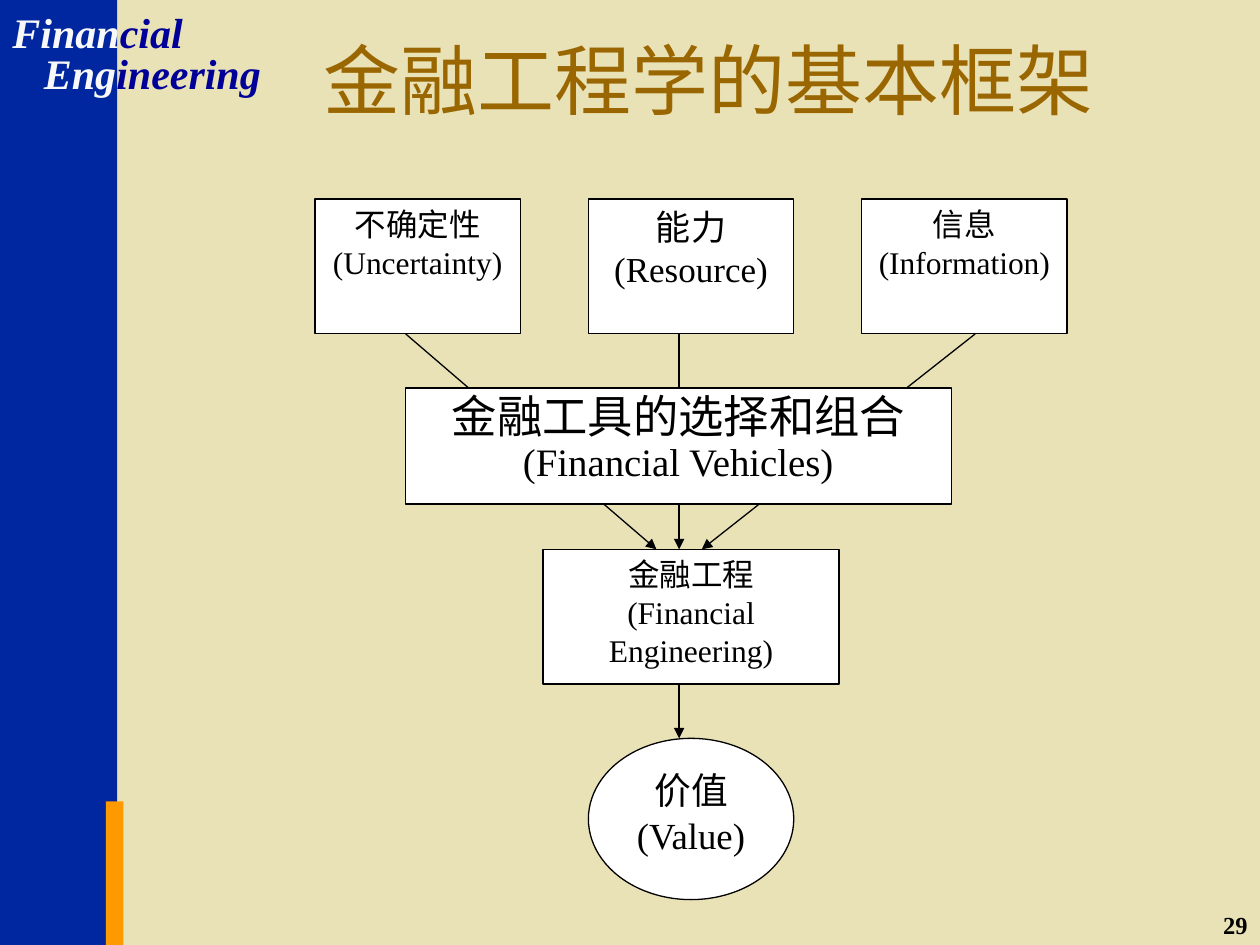
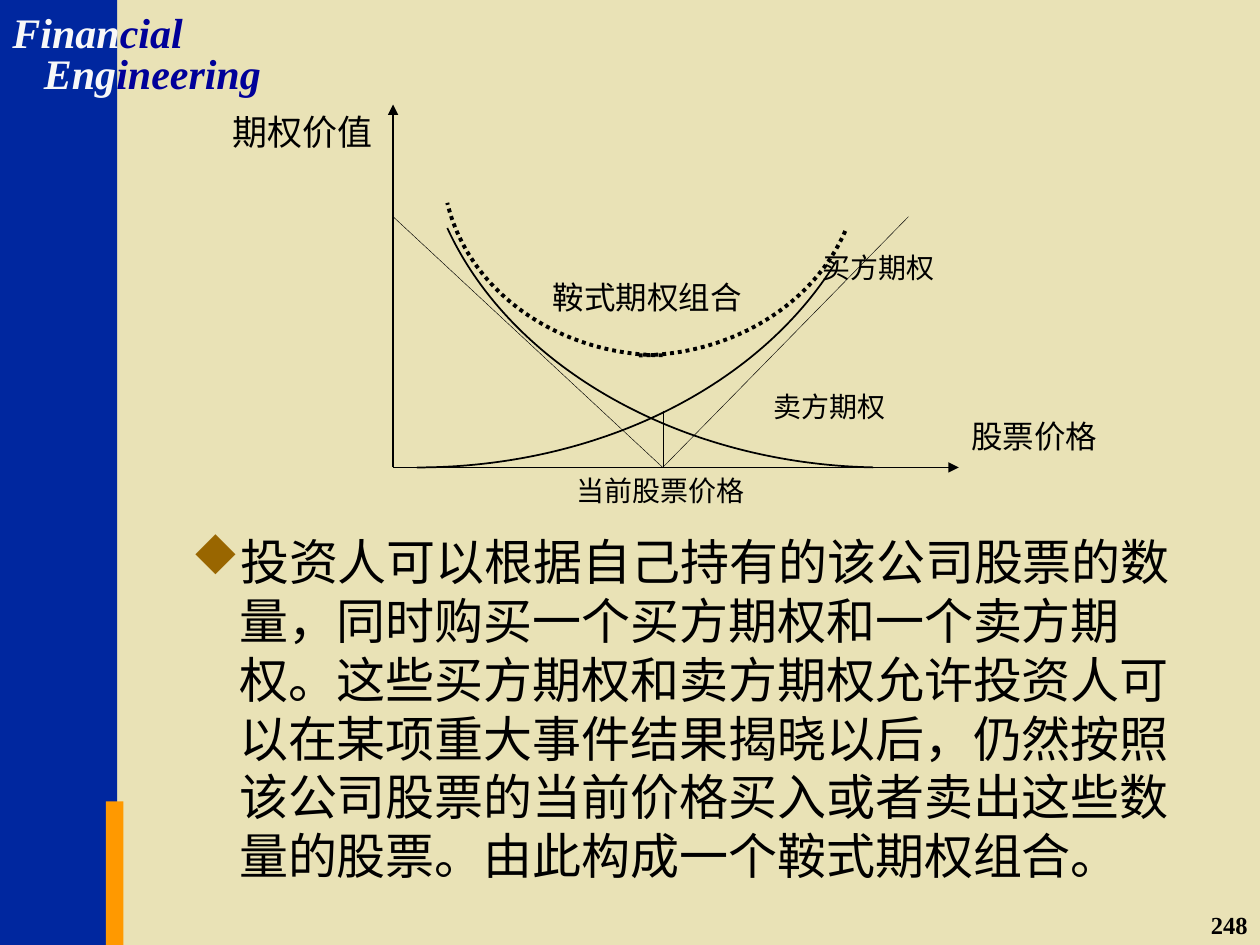
from lxml import etree
from pptx import Presentation
from pptx.dml.color import RGBColor
from pptx.enum.dml import MSO_LINE
from pptx.enum.shapes import MSO_CONNECTOR, MSO_SHAPE
from pptx.enum.text import MSO_ANCHOR, PP_ALIGN
from pptx.oxml.ns import qn
from pptx.util import Inches, Pt

RECT = MSO_SHAPE.RECTANGLE
OVAL = MSO_SHAPE.OVAL
STRAIGHT = MSO_CONNECTOR.STRAIGHT
DOTS = MSO_LINE.ROUND_DOT
LEFT, CENTER, RIGHT, JUSTIFY = (
    PP_ALIGN.LEFT, PP_ALIGN.CENTER, PP_ALIGN.RIGHT, PP_ALIGN.JUSTIFY)
TOP, MIDDLE = MSO_ANCHOR.TOP, MSO_ANCHOR.MIDDLE

FONT = "Times New Roman"
SAND, BLUE, ORANGE, NAVY = "E9E2B6", "00279F", "FF9900", "000099"
BROWN, BLACK, WHITE, PALE = "996600", "000000", "FFFFFF", "F8F8F8"


def color(value):
    return RGBColor.from_string(value)


def lengths(*values):
    return [Inches(value) for value in values]


def style(para, size, tint=BLACK, align=LEFT, bold=None):
    para.alignment = align
    font = para.font
    font.name, font.size, font.bold = FONT, Pt(size), bold
    font.color.rgb = color(tint)


def add_text(slide, box, text, size, tint=BLACK, align=JUSTIFY, bold=None):
    frame = slide.shapes.add_textbox(*lengths(*box)).text_frame
    frame.word_wrap = True
    para = frame.paragraphs[0]
    para.text = text
    style(para, size, tint, align, bold)
    return frame


def add_block(slide, kind, box, fill):
    shape = slide.shapes.add_shape(kind, *lengths(*box))
    shape.shadow.inherit = False
    shape.fill.solid()
    shape.fill.fore_color.rgb = color(fill)
    shape.line.fill.background()
    return shape


def add_node(slide, kind, box, texts, sizes, space=None):
    shape = add_block(slide, kind, box, WHITE)
    ink(shape.line, 0.75)
    frame = shape.text_frame
    frame.word_wrap = True
    frame.vertical_anchor = TOP
    for row, (text, size) in enumerate(zip(texts, sizes)):
        para = frame.add_paragraph() if row else frame.paragraphs[0]
        para.text = text
        para.line_spacing = space
        style(para, size, align=CENTER)


def ink(line, width):
    line.fill.solid()
    line.fill.fore_color.rgb = color(BLACK)
    line.width = Pt(width)


def add_line(slide, start, end, width=0.75, arrow=True):
    link = slide.shapes.add_connector(STRAIGHT, *lengths(*start, *end))
    ink(link.line, width)
    if arrow:
        etree.SubElement(link.line._ln, qn("a:tailEnd"), type="triangle")
    etree.SubElement(link._element.spPr, qn("a:effectLst"))


def add_curve(slide, points, width, dash=None):
    first, *rest = [lengths(*point) for point in points]
    pen = slide.shapes.build_freeform(*first)
    pen.add_line_segments(rest, close=False)
    shape = pen.convert_to_shape()
    route = next(shape._element.iter(qn("a:moveTo"))).getparent()
    bend = etree.SubElement(route, qn("a:cubicBezTo"))
    for step in route.findall(qn("a:lnTo")):
        bend.append(step[0])
        route.remove(step)
    shape.shadow.inherit = False
    shape.fill.background()
    ink(shape.line, width)
    shape.line.dash_style = dash


def add_mark(slide, box, head, tail):
    frame = slide.shapes.add_textbox(*lengths(*box)).text_frame
    frame.word_wrap = False
    para = frame.paragraphs[0]
    style(para, 24, PALE, bold=True)
    para.font.italic = True
    for text, tint in ((head, PALE), (tail, NAVY)):
        run = para.add_run()
        run.text = text
        run.font.color.rgb = color(tint)


def add_base(deck, number):
    slide = deck.slides.add_slide(deck.slide_layouts[6])
    add_block(slide, RECT, (0, 0, 0.93, 7.5), BLUE)
    add_block(slide, RECT, (0.84, 6.36, 0.14, 1.14), ORANGE)
    add_mark(slide, (0, 0, 1.55, 0.5), "Finan", "cial")
    add_mark(slide, (0.25, 0.33, 1.92, 0.5), "Eng", "ineering")
    add_text(slide, (7.92, 7.17, 2.08, 0.5), number, 14, align=RIGHT, bold=True)
    return slide


def add_title(slide, box, text):
    frame = add_text(slide, box, text, 44, BROWN, CENTER)
    frame.vertical_anchor = MIDDLE


def add_flow(slide, left, top):
    def at(x, y, *size):
        return (left + x, top + y, *size)

    wide, high = 1.63, 1.07
    inputs = (
        ("不确定性", "(Uncertainty)", 18),
        ("能力", "(Resource)", 20),
        ("信息", "(Information)", 18),
    )
    for col, (name, term, size) in enumerate(inputs):
        box = at(col * 2.17, 0, wide, high)
        add_node(slide, RECT, box, (name, term), (size, size))
    for start, end in ((0.72, 2.71), (2.89, 2.89), (5.24, 3.07)):
        add_line(slide, at(start, high), at(end, 2.78))
    add_node(slide, RECT, at(1.81, 2.78, 2.35, high),
             ("金融工程", "(Financial Engineering)"), (18, 18))
    add_node(slide, OVAL, at(2.17, 4.28, wide, 1.28), ("价值", "(Value)"), (21, 21))
    add_node(slide, RECT, at(0.72, 1.5, 4.33, 0.92),
             ("金融工具的选择和组合", "(Financial Vehicles)"), (25.9, 22.2), 0.9)
    add_line(slide, at(2.89, 3.85), at(2.89, 4.28))


def add_plot(slide, left, top):
    def at(x, y, *size):
        return (left + x, top + y, *size)

    zero, strike, floor = 1.37, 3.51, 2.88
    add_line(slide, at(zero, floor), at(5.86, floor))
    add_line(slide, at(zero, floor), at(zero, 0))
    for x, y in ((zero, 0.89), (5.46, 0.89), (strike, 2.43)):
        add_line(slide, at(x, y), at(strike, floor), 0.25, False)

    curves = (
        (((5.18, floor), (3.66, 2.85), (2.31, 2.09), (1.8, 0.98)), 1, None),
        (((1.56, floor), (2.99, floor), (4.28, 2.24), (4.89, 1.24)), 1, None),
        (((3.32, 1.99), (4.04, 1.99), (4.7, 1.6), (4.96, 1)), 2.25, DOTS),
        (((strike, 1.99), (2.69, 1.99), (1.97, 1.49), (1.8, 0.78)), 2.25, DOTS),
    )
    for points, width, dash in curves:
        add_curve(slide, [at(*point) for point in points], width, dash)

    labels = (
        ("股票价格", 18, (5.86, 2.43, 1.56, 0.88)),
        ("期权价值", 20, (0, 0, 1.56, 0.88)),
        ("买方期权", 16, (4.68, 1.11, 1.17, 0.66)),
        ("卖方期权", 16, (4.29, 2.21, 1.17, 0.66)),
        ("鞍式期权组合", 18, (2.54, 1.33, 1.76, 0.66)),
        ("当前股票价格", 16, (2.73, floor, 1.56, 0.66)),
    )
    for text, size, box in labels:
        add_text(slide, at(*box), text, size)


def add_body(slide, box, text):
    frame = slide.shapes.add_textbox(*lengths(*box)).text_frame
    frame.word_wrap = True
    para = frame.paragraphs[0]
    para.text = text
    props = para._p.get_or_add_pPr()
    props.set("marL", str(Inches(0.38)))
    props.set("indent", str(-Inches(0.38)))
    props.set("hangingPunct", "0")
    tint = etree.SubElement(props, qn("a:buClr"))
    etree.SubElement(tint, qn("a:srgbClr"), val=BROWN)
    etree.SubElement(props, qn("a:buFont"), typeface="Wingdings", charset="2")
    etree.SubElement(props, qn("a:buChar"), char="u")
    style(para, 28)


def main():
    deck = Presentation()
    deck.slide_width, deck.slide_height = lengths(10, 7.5)
    fill = deck.slide_master.background.fill
    fill.solid()
    fill.fore_color.rgb = color(SAND)

    slide = add_base(deck, "29")
    add_flow(slide, 2.5, 1.58)
    add_title(slide, (1.5, 0, 8.25, 1.25), "金融工程学的基本框架")

    slide = add_base(deck, "248")
    add_body(slide, (1.42, 4.17, 8.33, 2.92),
             "投资人可以根据自己持有的该公司股票的数量，同时购买一个买方期权和一个卖方期权。"
             "这些买方期权和卖方期权允许投资人可以在某项重大事件结果揭晓以后，"
             "仍然按照该公司股票的当前价格买入或者卖出这些数量的股票。"
             "由此构成一个鞍式期权组合。")
    add_plot(slide, 1.75, 0.83)
    deck.save("out.pptx")


if __name__ == "__main__":
    main()
